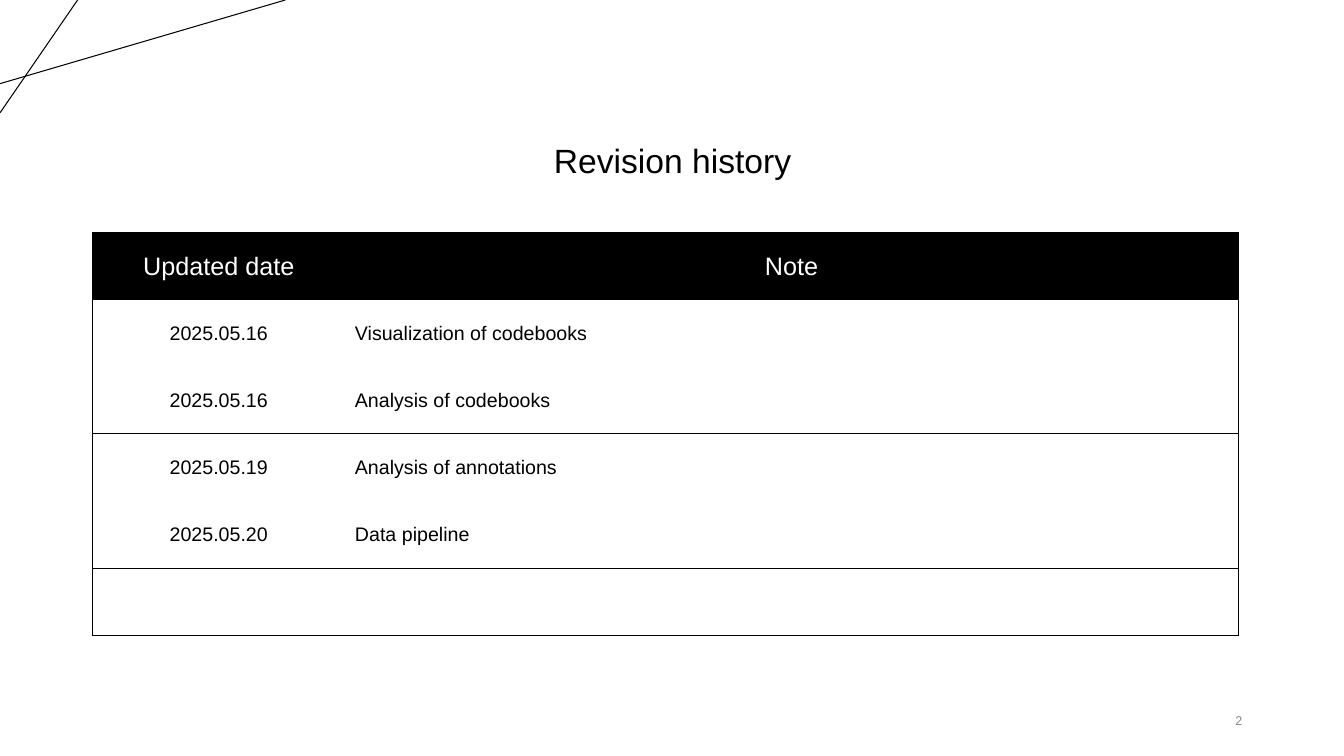
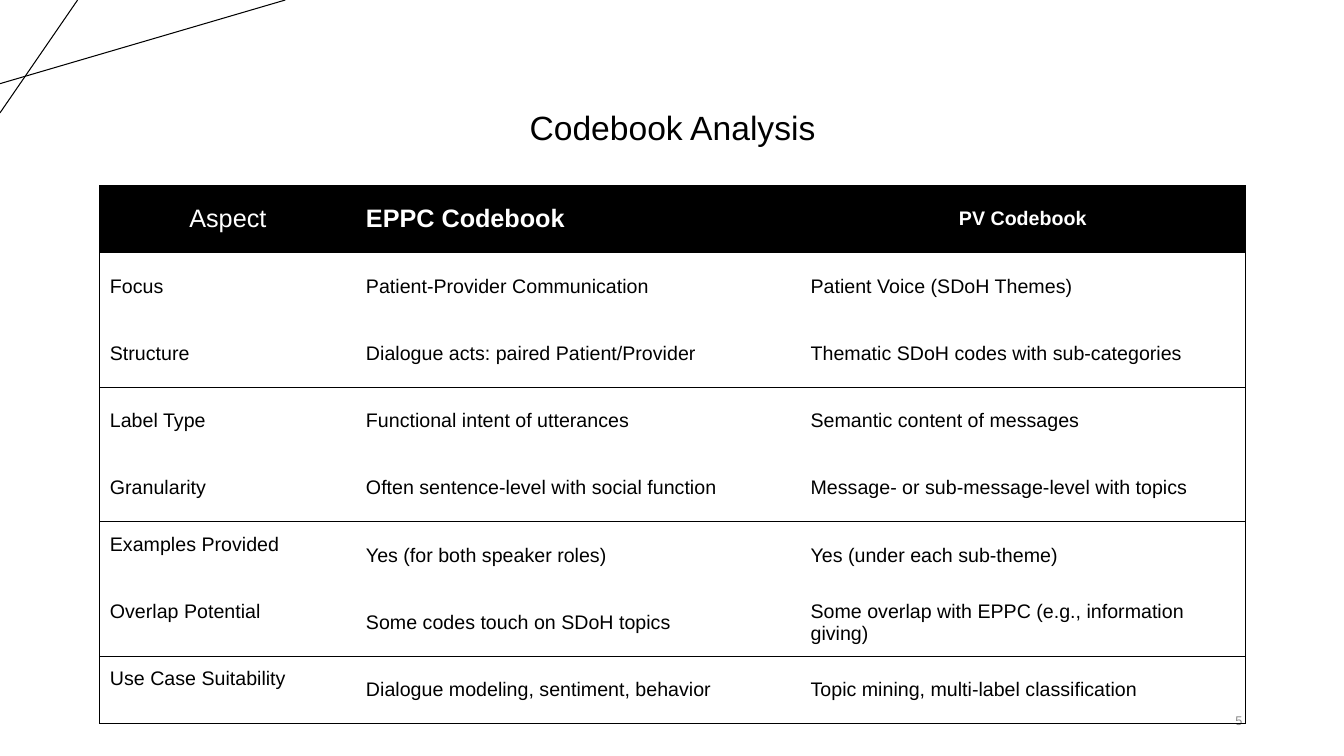
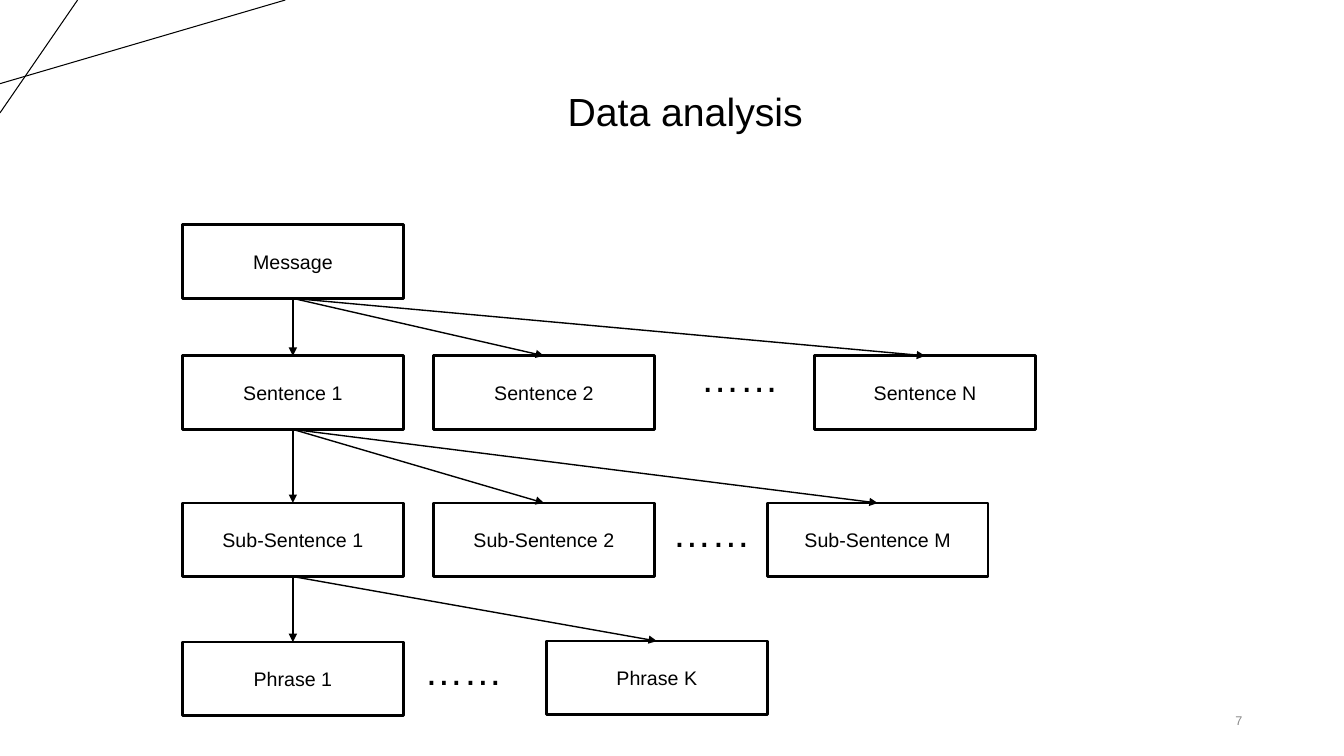
"""Build three slides: revision history, codebook table and data tree."""
from dataclasses import dataclass

from lxml import etree
from pptx import Presentation
from pptx.dml.color import RGBColor
from pptx.enum.shapes import MSO_CONNECTOR, MSO_SHAPE
from pptx.enum.text import MSO_ANCHOR, MSO_AUTO_SIZE, PP_ALIGN
from pptx.oxml.ns import qn
from pptx.util import Inches, Pt

LINE, RECT = MSO_CONNECTOR.STRAIGHT, MSO_SHAPE.RECTANGLE
LEFT, MID, RIGHT = PP_ALIGN.LEFT, PP_ALIGN.CENTER, PP_ALIGN.RIGHT
LOW, CENTER = MSO_ANCHOR.BOTTOM, MSO_ANCHOR.MIDDLE
FIXED, GROW = MSO_AUTO_SIZE.NONE, MSO_AUTO_SIZE.SHAPE_TO_FIT_TEXT
COLORS = {"ink": "000000", "paper": "FFFFFF", "page": "888888"}
FONT = "Arial"
TITLE_ONLY = 5
BOX_W, BOX_H = 2.19, 0.73
DOTS_W, DOTS_H = 1.26, 0.57
BORDER = 0.75
RAISED = 0.27
RAYS = [((0, 0.83), (2.83, 0)), ((0.77, 0), (0, 1.12))]


@dataclass
class Head:
    text: str
    width: float
    size: int = 18
    bold: bool = False
    align: PP_ALIGN = MID
    body: PP_ALIGN = LEFT


@dataclass
class Grid:
    left: float
    top: float
    height: float
    heads: list[Head]
    rows: list[tuple[str, ...]]
    raised: tuple[str, ...] = ()


@dataclass
class Node:
    text: str
    left: float
    top: float


HISTORY = Grid(
    0.92, 2.31, 3.99,
    [Head("Updated date", 2.5, body=MID), Head("Note", 8.86)],
    [
        ("2025.05.16", "Visualization of codebooks"),
        ("2025.05.16", "Analysis of codebooks"),
        ("2025.05.19", "Analysis of annotations"),
        ("2025.05.20", "Data pipeline"),
        ("", ""),
    ],
)
CODEBOOK = Grid(
    0.99, 1.84, 5.34,
    [
        Head("Aspect", 2.54),
        Head("EPPC Codebook", 4.41, bold=True, align=LEFT),
        Head("PV Codebook", 4.41, size=14, bold=True),
    ],
    [
        ("Focus", "Patient-Provider Communication", "Patient Voice (SDoH Themes)"),
        ("Structure", "Dialogue acts: paired Patient/Provider",
         "Thematic SDoH codes with sub-categories"),
        ("Label Type", "Functional intent of utterances", "Semantic content of messages"),
        ("Granularity", "Often sentence-level with social function",
         "Message- or sub-message-level with topics"),
        ("Examples Provided", "Yes (for both speaker roles)", "Yes (under each sub-theme)"),
        ("Overlap Potential", "Some codes touch on SDoH topics",
         "Some overlap with EPPC (e.g., information giving)"),
        ("Use Case Suitability", "Dialogue modeling, sentiment, behavior",
         "Topic mining, multi-label classification"),
    ],
    ("Examples Provided", "Overlap Potential", "Use Case Suitability"),
)
TREE = [
    [Node("Message", 1.81, 2.23)],
    [Node("Sentence 1", 1.81, 3.53), Node("Sentence 2", 4.3, 3.53),
     Node("Sentence N", 8.08, 3.53)],
    [Node("Sub-Sentence 1", 1.81, 4.99), Node("Sub-Sentence 2", 4.3, 4.99),
     Node("Sub-Sentence M", 7.61, 4.99)],
    [Node("Phrase 1", 1.81, 6.37), Node("Phrase K", 5.42, 6.36)],
]
DOTS = [Node("……", 6.85, 3.46), Node("……", 6.57, 4.99), Node("……", 4.11, 6.36)]


def color(name: str) -> RGBColor:
    return RGBColor.from_string(COLORS[name])


def write(frame, text: str, size: int, align=LEFT, ink="ink", bold=False) -> None:
    frame.text = text
    para = frame.paragraphs[0]
    para.alignment = align
    font = para.font
    font.name, font.size, font.bold = FONT, Pt(size), bold
    font.color.rgb = color(ink)


def add_line(slide, start=(0, 0), end=(0, 0), width=BORDER):
    line = slide.shapes.add_connector(LINE, *map(Inches, (*start, *end)))
    line.line.color.rgb = color("ink")
    line.line.width = Pt(width)
    etree.SubElement(line._element.spPr, qn("a:effectLst"))
    return line


def add_text(slide, node: Node, width: float, height: float, size: int,
             align=LEFT, ink="ink"):
    box = slide.shapes.add_textbox(*map(Inches, (node.left, node.top, width, height)))
    write(box.text_frame, node.text, size, align, ink)
    box.text_frame.word_wrap = True
    return box.text_frame


def add_slide(deck, title: str, page: int, top: float, size=24, anchor=LOW, indent=0.0):
    slide = deck.slides.add_slide(deck.slide_layouts[TITLE_ONLY])
    for start, end in RAYS:
        add_line(slide, start, end)
    head = slide.shapes.title
    head.left, head.top, head.width, head.height = map(Inches, (0.92, top, 11.5, 1.45))
    frame = head.text_frame
    write(frame, title, size, MID)
    frame.paragraphs[0].line_spacing = 0.9
    frame.vertical_anchor = anchor
    frame.auto_size = FIXED
    frame.margin_left = Inches(0.1 + indent)
    foot = add_text(slide, Node(str(page), 11.34, 6.95), 1.08, 0.4, 9, RIGHT, "page")
    foot.vertical_anchor = CENTER
    return slide


def set_edges(cell, shown: dict[str, bool]) -> None:
    props = cell._tc.get_or_add_tcPr()
    for side, drawn in shown.items():
        edge = etree.SubElement(props, qn(f"a:ln{side}"), w=str(Pt(BORDER)))
        if drawn:
            fill = etree.SubElement(edge, qn("a:solidFill"))
            etree.SubElement(fill, qn("a:srgbClr"), val=COLORS["ink"])
        else:
            etree.SubElement(edge, qn("a:noFill"))


def add_grid(slide, grid: Grid) -> None:
    rows = [tuple(head.text for head in grid.heads), *grid.rows]
    width = sum(head.width for head in grid.heads)
    table = slide.shapes.add_table(
        len(rows), len(grid.heads),
        *map(Inches, (grid.left, grid.top, width, grid.height))).table
    table.first_row = table.horz_banding = False
    for col, head in enumerate(grid.heads):
        table.columns[col].width = Inches(head.width)
        for row, texts in enumerate(rows):
            cell, text = table.cell(row, col), texts[col]
            top = row == 0
            set_edges(cell, {
                "L": top or col == 0,
                "R": top or col == len(grid.heads) - 1,
                "T": top or row % 2 == 1,
                "B": row % 2 == 0 or row == len(rows) - 1,
            })
            cell.vertical_anchor = CENTER
            if top:
                cell.fill.solid()
                cell.fill.fore_color.rgb = color("ink")
                write(cell.text_frame, text, head.size, head.align, "paper", head.bold)
            else:
                cell.fill.background()
                write(cell.text_frame, text, 14, head.body)
            if text in grid.raised:
                cell.margin_bottom = Inches(RAISED)


def add_box(slide, node: Node):
    box = slide.shapes.add_shape(
        RECT, *map(Inches, (node.left, node.top, BOX_W, BOX_H)))
    box.shadow.inherit = False
    box.fill.solid()
    box.fill.fore_color.rgb = color("paper")
    box.line.color.rgb = color("ink")
    box.line.width = Pt(2)
    write(box.text_frame, node.text, 14, MID)
    box.text_frame.vertical_anchor = CENTER
    return box


def add_arrow(slide, source, target) -> None:
    arrow = add_line(slide, width=1)
    arrow.begin_connect(source, 2)
    arrow.end_connect(target, 0)
    etree.SubElement(arrow.line._get_or_add_ln(), qn("a:tailEnd"), type="triangle")


def add_tree(slide) -> None:
    levels = [[add_box(slide, node) for node in level] for level in TREE]
    for dots in DOTS:
        add_text(slide, dots, DOTS_W, DOTS_H, 28).auto_size = GROW
    for upper, lower in zip(levels, levels[1:]):
        for box in lower:
            add_arrow(slide, upper[0], box)


def main() -> None:
    deck = Presentation()
    deck.slide_width, deck.slide_height = Inches(13.33), Inches(7.5)
    add_grid(add_slide(deck, "Revision history", 2, 0.39), HISTORY)
    add_grid(add_slide(deck, "Codebook Analysis", 5, 0.07), CODEBOOK)
    add_tree(add_slide(deck, "Data analysis", 7, 0.4, 28, CENTER, 0.25))
    deck.save("out.pptx")


if __name__ == "__main__":
    main()
